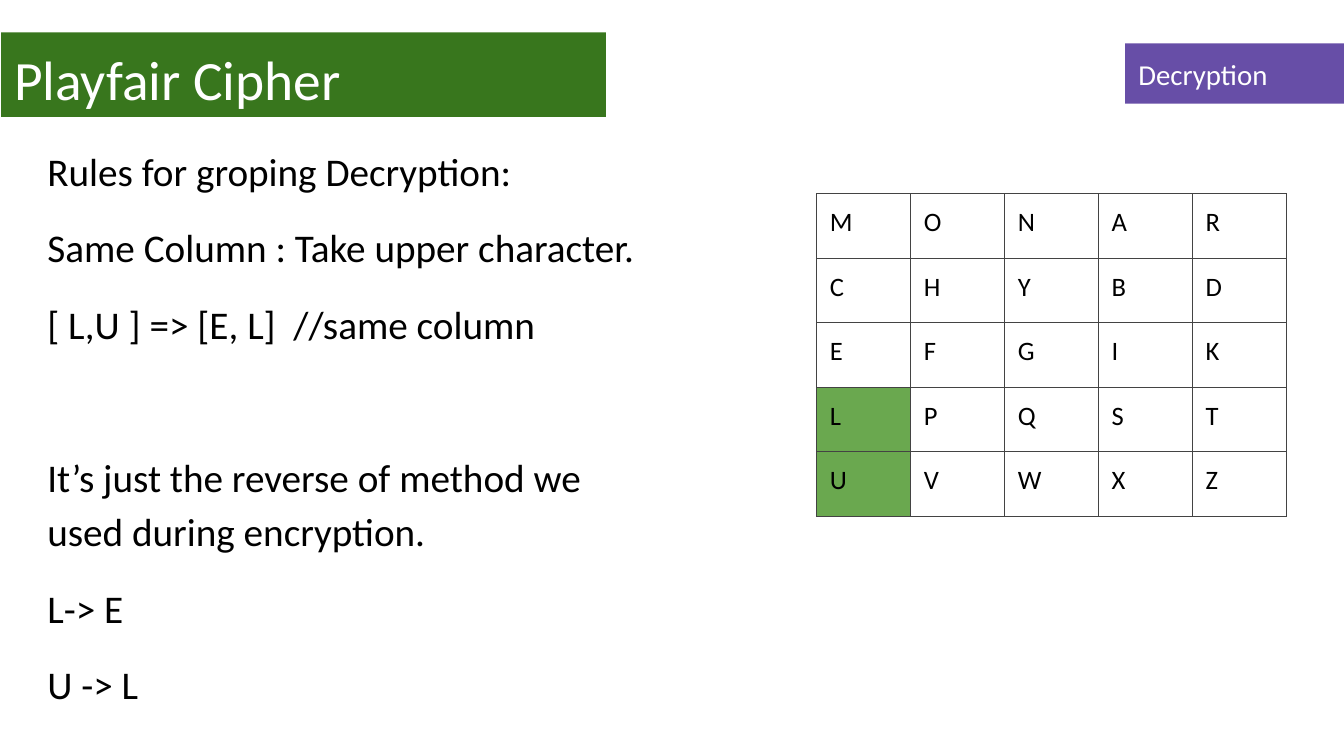
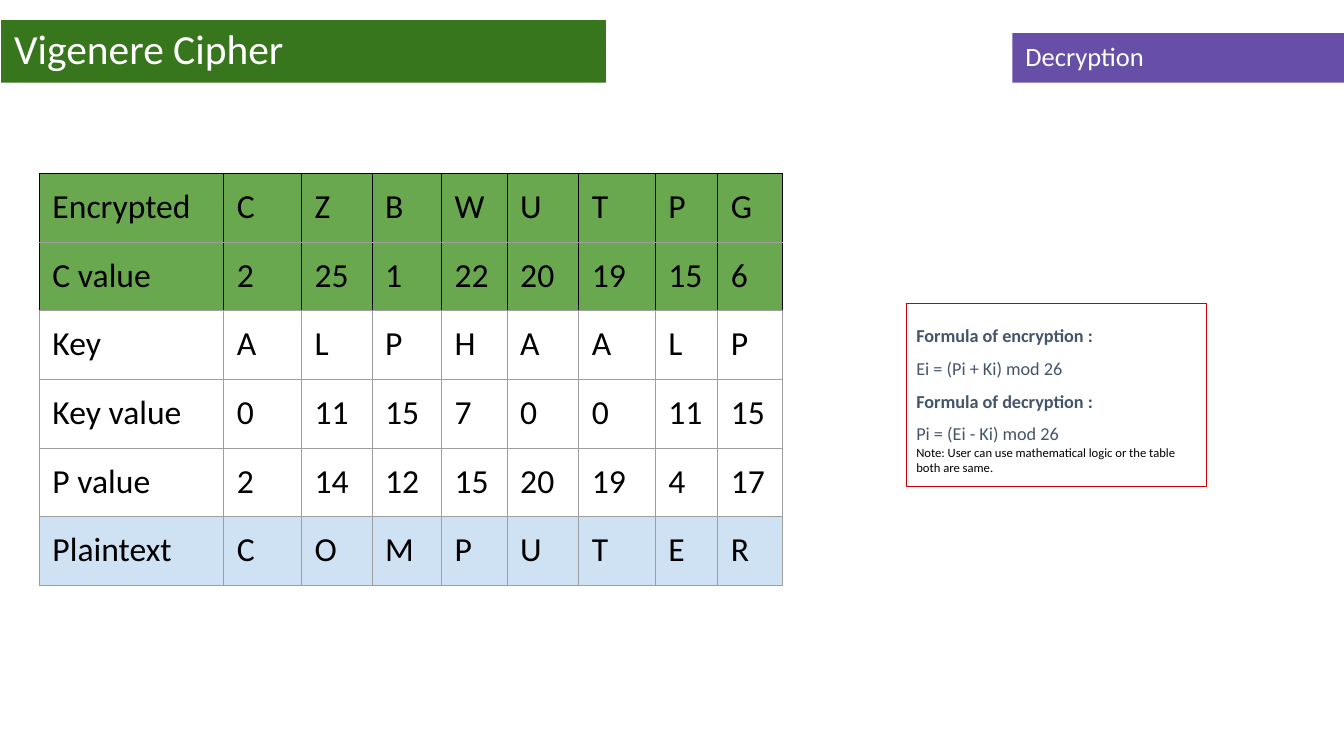
from lxml.etree import SubElement as Sub
from pptx import Presentation
from pptx.dml.color import RGBColor as Rgb
from pptx.enum.shapes import MSO_SHAPE as Kind
from pptx.enum.text import MSO_ANCHOR as Anchor, MSO_AUTO_SIZE as Auto, PP_ALIGN as Align
from pptx.oxml.ns import qn
from pptx.util import Inches, Pt

FONT = "Calibri"
GREEN, PURPLE, LEAF, SKY = "38761D", "674EA7", "6AA84F", "CFE2F3"
WHITE, BLACK, SLATE, RED = "FFFFFF", "000000", "44546A", "CC0000"
DARK, GREY = "434343", "9E9E9E"
PAD = 0.13

deck = Presentation()
deck.slide_width, deck.slide_height = Inches(13.33), Inches(7.5)


def color(code):
    return Rgb.from_string(code)


def area(box):
    left, top, wide, high = box
    col, row = deck.slide_width / 100, deck.slide_height / 100
    return round(left * col), round(top * row), round(wide * col), round(high * row)


def pad(item, gap=PAD):
    item.margin_left = item.margin_right = Inches(gap)
    item.margin_top = item.margin_bottom = Inches(gap)


def style(para, text, size, code=BLACK, bold=False, line=None, before=0):
    para.text = text
    para.alignment = Align.LEFT
    para.space_before = Pt(before)
    if line:
        para.line_spacing = line
    font = para.font
    font.name, font.size, font.bold = FONT, Pt(size), bold
    font.color.rgb = color(code)


def write(frame, lines, gap=PAD):
    pad(frame, gap)
    frame.word_wrap = True
    frame.auto_size = Auto.NONE
    for num, line in enumerate(lines):
        para = frame.add_paragraph() if num else frame.paragraphs[0]
        style(para, **line)


def rect(slide, box):
    shape = slide.shapes.add_shape(Kind.RECTANGLE, *area(box))
    shape.shadow.inherit = False
    return shape


def band(shape, text, code, size, anchor, line):
    shape.fill.solid()
    shape.fill.fore_color.rgb = color(code)
    shape.line.fill.background()
    write(shape.text_frame, [dict(text=text, size=size, code=WHITE, line=line)])
    shape.text_frame.vertical_anchor = anchor


def start(name, box, size, anchor=Anchor.TOP, line=None):
    slide = deck.slides.add_slide(deck.slide_layouts[5])
    title = slide.shapes.title
    title.left, title.top, title.width, title.height = area(box)
    band(title, name, GREEN, size, anchor, line)
    return slide


def tag(slide, box, size, anchor=Anchor.TOP, line=None):
    band(rect(slide, box), "Decryption", PURPLE, size, anchor, line)


def body(slide, box, lines):
    frame = slide.shapes.add_textbox(*area(box)).text_frame
    write(frame, [dict(text=text, size=28, line=1.15, before=gap) for text, gap in lines])


def edge(cell, codes):
    props = cell._tc.get_or_add_tcPr()
    for side, code in zip("LRTB", codes):
        line = Sub(props, qn("a:ln" + side), w=str(Pt(0.75)))
        Sub(Sub(line, qn("a:solidFill")), qn("a:srgbClr"), val=code)


def grid(slide, box, rows, parts, size, fill, edges):
    left, top, wide, high = area(box)
    table = slide.shapes.add_table(len(rows), len(parts), left, top, wide, high).table
    table.first_row = table.horz_banding = False
    for col, part in zip(table.columns, parts):
        col.width = round(wide * part / sum(parts))
    for r, row in enumerate(rows):
        table.rows[r].height = round(high / len(rows))
        for c, text in enumerate(row):
            cell = table.cell(r, c)
            pad(cell)
            style(cell.text_frame.paragraphs[0], text, size)
            edge(cell, edges(r))
            code = fill(r, c)
            if code:
                cell.fill.solid()
                cell.fill.fore_color.rgb = color(code)
            else:
                cell.fill.background()


def note(slide, box, rules, hint):
    shape = rect(slide, box)
    shape.fill.background()
    shape.line.color.rgb = color(RED)
    shape.line.width = Pt(0.75)
    lines = []
    for head, rule in rules:
        lines.append(dict(text=head, size=13, code=SLATE, bold=True, line=1.5))
        lines.append(dict(text=rule, size=13, code=SLATE, line=1.5))
    write(shape.text_frame, lines + [dict(text=hint, size=9)], 0.1)
    shape.text_frame.vertical_anchor = Anchor.TOP


def playfair():
    slide = start("Playfair Cipher", (0.08, 4.27, 45, 11.2), 39.6)
    body(slide, (2.55, 16.8, 47.26, 79.2), [
        ("Rules for groping Decryption:", 0),
        ("Same Column : Take upper character.", 16),
        ("[ L,U ] => [E, L]  //same column", 16),
        ("It’s just the reverse of method we used during encryption.", 71),
        ("L-> E", 16),
        ("U -> L", 16),
    ])
    grid(slide, (60.77, 25.6, 34.96, 42.67),
         ["MONAR", "CHYBD", "EFGIK", "LPQST", "UVWXZ"], [1] * 5, 19,
         lambda r, c: LEAF if r > 2 and c == 0 else None,
         lambda r: [DARK] * 4)
    tag(slide, (83.72, 5.73, 16.28, 8), 20.6)


def vigenere():
    slide = start("Vigenere Cipher", (0.08, 2.67, 45, 8.27), 29.6, Anchor.MIDDLE, 0.9)
    tag(slide, (75.32, 4.4, 24.68, 6.53), 18.9, Anchor.MIDDLE, 0.9)
    rows = [
        ("Encrypted", *"CZBWUTPG"),
        ("C value", "2", "25", "1", "22", "20", "19", "15", "6"),
        ("Key", *"ALPHAALP"),
        ("Key value", "0", "11", "15", "7", "0", "0", "11", "15"),
        ("P value", "2", "14", "12", "15", "20", "19", "4", "17"),
        ("Plaintext", *"COMPUTER"),
    ]
    fills = [LEAF, LEAF, None, None, None, SKY]

    def edges(r):
        side = BLACK if r < 2 else GREY
        return side, side, GREY if r else BLACK, GREY

    grid(slide, (2.93, 22.93, 55.29, 54.53), rows,
         [183, 77, 70, 69, 65, 71, 76, 62, 64], 24, lambda r, c: fills[r], edges)
    note(slide, (67.44, 40.13, 22.36, 24.27), [
        ("Formula of encryption :", "Ei = (Pi + Ki) mod 26"),
        ("Formula of decryption :", "Pi = (Ei - Ki) mod 26"),
    ], "Note: User can use mathematical logic or the table both are same.")


playfair()
vigenere()
deck.save("out.pptx")
